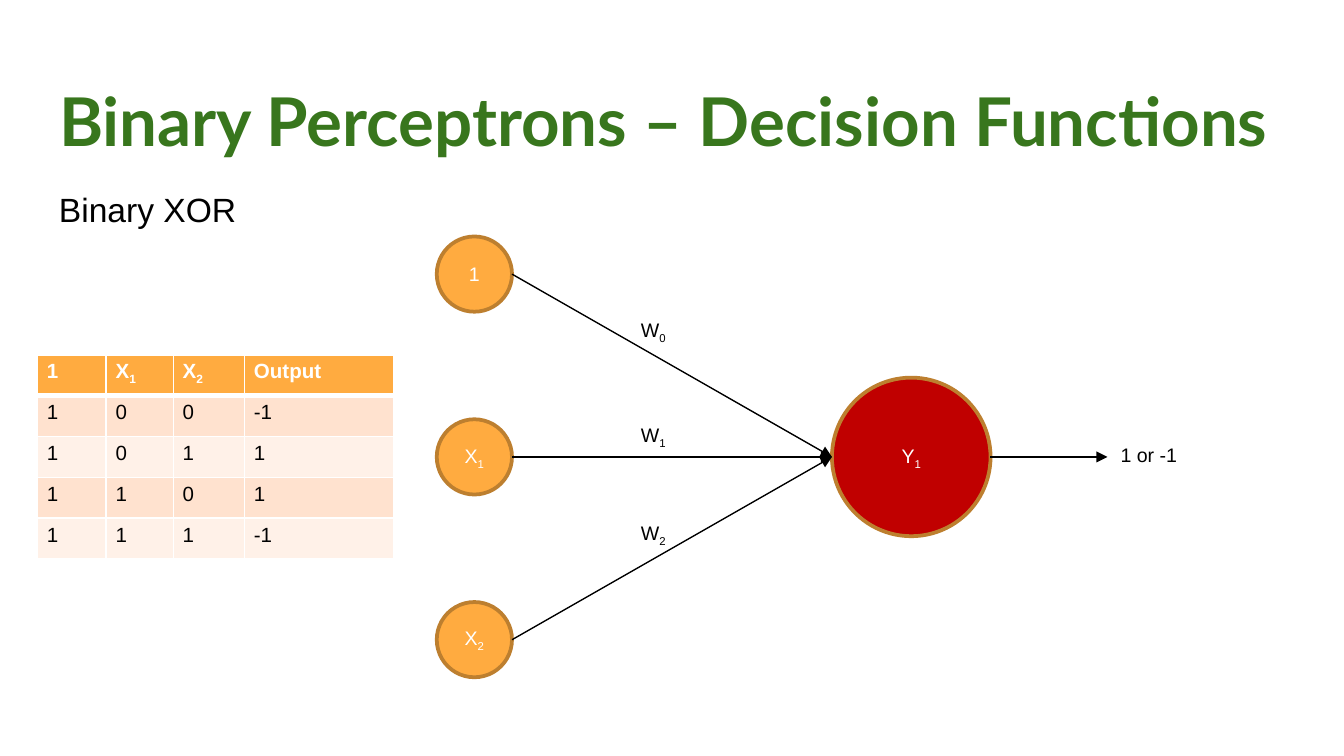
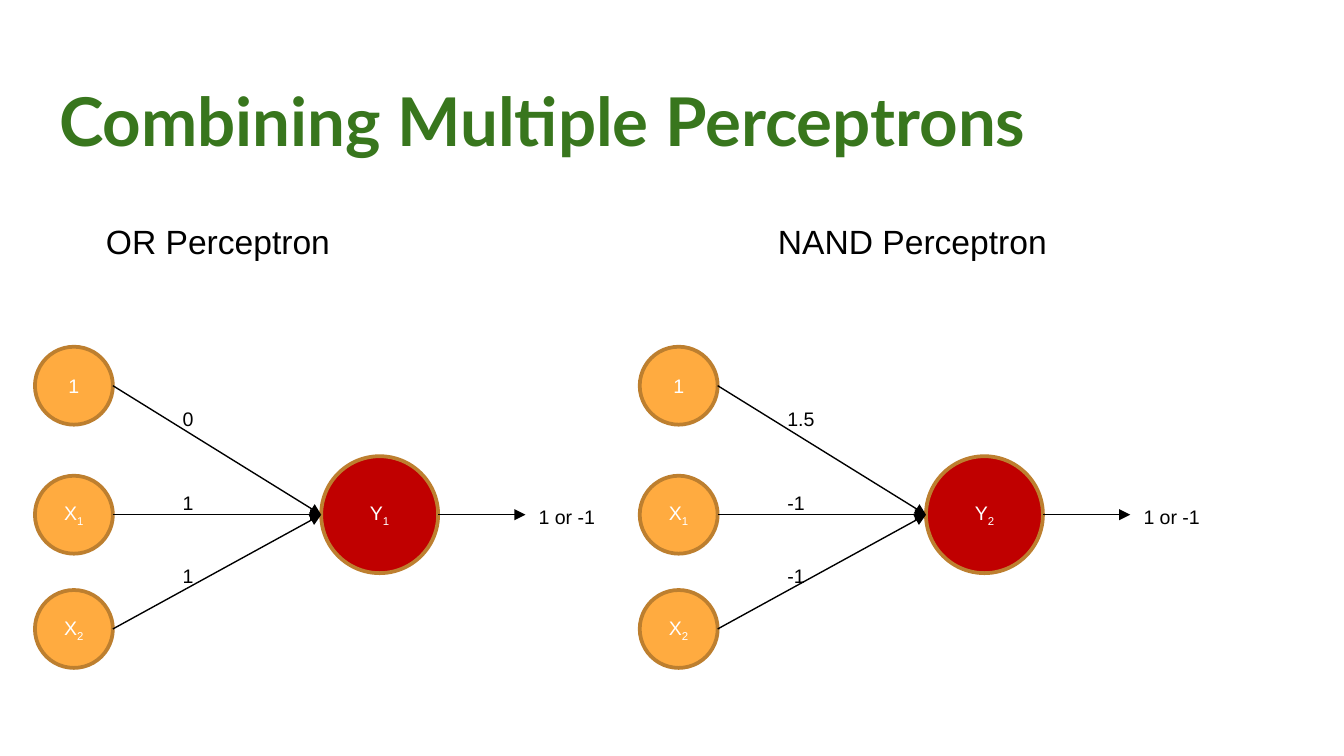
from dataclasses import dataclass, replace

from lxml import etree
from pptx import Presentation
from pptx.dml.color import RGBColor
from pptx.enum.shapes import MSO_CONNECTOR, MSO_SHAPE
from pptx.enum.text import MSO_ANCHOR, MSO_AUTO_SIZE, PP_ALIGN
from pptx.oxml.ns import qn
from pptx.shapes.shapetree import GroupShapes, SlideShapes
from pptx.slide import Slide
from pptx.util import Inches, Pt

STRAIGHT = MSO_CONNECTOR.STRAIGHT
OVAL = MSO_SHAPE.OVAL
TOP, MIDDLE = MSO_ANCHOR.TOP, MSO_ANCHOR.MIDDLE
NO_AUTOFIT, GROW = MSO_AUTO_SIZE.NONE, MSO_AUTO_SIZE.SHAPE_TO_FIT_TEXT
LEFT, CENTER = PP_ALIGN.LEFT, PP_ALIGN.CENTER

GREEN = RGBColor(0x38, 0x76, 0x1D)
ORANGE = RGBColor(0xFF, 0xAB, 0x40)
BROWN = RGBColor(0xBD, 0x7F, 0x2F)
RED = RGBColor(0xC0, 0x00, 0x00)
BLACK = RGBColor(0x00, 0x00, 0x00)
WHITE = RGBColor(0xFF, 0xFF, 0xFF)
BAND_DARK = RGBColor(0xFF, 0xE2, 0xCF)
BAND_LIGHT = RGBColor(0xFF, 0xF1, 0xE8)

SLIDE_WIDTH = Inches(10)
SLIDE_HEIGHT = SLIDE_WIDTH * 9 // 16
TITLE_FONT, BODY_FONT = "Lato", "Arial"
LABEL_SIZE = 10.5
LABEL_HEIGHT = 0.28
TITLE_ONLY = 5
INPUT_NAMES = ("1", "X_1", "X_2")


@dataclass(frozen=True)
class Perceptron:
    """Sizes and places in inches; an underscore in a label starts a subscript."""
    input_left: float
    input_size: float
    input_tops: tuple[float, ...]
    output_name: str
    output_left: float
    output_size: float
    weights: tuple[str, ...]
    weight_left: float
    weight_width: float
    weight_tops: tuple[float, ...]
    result_left: float
    result_top: float
    result_width: float
    wrap_labels: bool

    @property
    def axis(self) -> float:
        """Height of the middle input, shared by the output node."""
        return self.input_tops[1] + self.input_size / 2

    def shifted(self, dx: float, output_name: str,
                weights: tuple[str, ...]) -> "Perceptron":
        return replace(self, input_left=self.input_left + dx,
                       output_left=self.output_left + dx,
                       weight_left=self.weight_left + dx,
                       result_left=self.result_left + dx,
                       output_name=output_name, weights=weights)


XOR_PERCEPTRON = Perceptron(
    input_left=3.25, input_size=0.56, input_tops=(1.76, 3.12, 4.48),
    output_name="Y_1", output_left=6.19, output_size=1.18,
    weights=("W_0", "W_1", "W_2"), weight_left=4.67, weight_width=0.39,
    weight_tops=(2.32, 3.1, 3.83),
    result_left=8.24, result_top=3.25, result_width=0.63, wrap_labels=False)

OR_PERCEPTRON = Perceptron(
    input_left=0.26, input_size=0.58, input_tops=(2.58, 3.54, 4.39),
    output_name="Y_1", output_left=2.39, output_size=0.87,
    weights=("0", "1", "1"), weight_left=1.26, weight_width=0.48,
    weight_tops=(2.98, 3.6, 4.15),
    result_left=3.91, result_top=3.71, result_width=0.65, wrap_labels=True)

NAND_PERCEPTRON = OR_PERCEPTRON.shifted(4.5, "Y_2", ("1.5", "-1", "-1"))

XOR_COLUMNS = (0.51, 0.5, 0.53, 1.11)
XOR_ROWS = (
    ("1", "X_1", "X_2", "Output"),
    ("1", "0", "0", "-1"),
    ("1", "0", "1", "1"),
    ("1", "1", "0", "1"),
    ("1", "1", "1", "-1"),
)


# Text
def write(paragraph, label: str, size: float, color: RGBColor,
          font: str = BODY_FONT, bold: bool = False) -> None:
    base, _, subscript = label.partition("_")
    for text in filter(None, (base, subscript)):
        run = paragraph.add_run()
        run.text = text
        run.font.name = font
        run.font.size = Pt(size)
        run.font.bold = bold
        run.font.color.rgb = color
        if text is subscript:
            run._r.get_or_add_rPr().set("baseline", "-25000")


def set_margins(frame, margin: float) -> None:
    frame.margin_left = frame.margin_right = Inches(margin)
    frame.margin_top = frame.margin_bottom = Inches(margin)


def add_titled_slide(prs, title: str) -> Slide:
    slide = prs.slides.add_slide(prs.slide_layouts[TITLE_ONLY])
    heading = slide.shapes.title
    heading.left, heading.top = Inches(0.34), Inches(0.49)
    heading.width, heading.height = Inches(9.32), Inches(0.63)
    frame = heading.text_frame
    frame.auto_size = NO_AUTOFIT
    frame.vertical_anchor = TOP
    set_margins(frame, 0.1)
    frame.paragraphs[0].alignment = LEFT
    write(frame.paragraphs[0], title, 36, GREEN, TITLE_FONT, bold=True)
    return slide


def add_subtitle(slide: Slide, text: str, left: float, top: float,
                 width: float, height: float, tab: float = 0) -> None:
    box = slide.shapes.add_textbox(Inches(left), Inches(top),
                                   Inches(width), Inches(height))
    frame = box.text_frame
    frame.word_wrap = True
    set_margins(frame, 0.1)
    paragraph = frame.paragraphs[0]
    paragraph.line_spacing = 1.15
    if tab:
        stops = etree.SubElement(paragraph._p.get_or_add_pPr(), qn("a:tabLst"))
        etree.SubElement(stops, qn("a:tab"), pos=str(Inches(tab)), algn="l")
    write(paragraph, text, 18, BLACK)


# Network parts
def add_label(shapes: SlideShapes | GroupShapes, text: str, left: float,
              top: float, width: float, wrap: bool) -> None:
    box = shapes.add_textbox(Inches(left), Inches(top),
                             Inches(width), Inches(LABEL_HEIGHT))
    box.text_frame.word_wrap = wrap
    box.text_frame.auto_size = GROW
    write(box.text_frame.paragraphs[0], text, LABEL_SIZE, BLACK)


def add_node(shapes: SlideShapes | GroupShapes, name: str, left: float,
             top: float, size: float, fill: RGBColor) -> None:
    node = shapes.add_shape(OVAL, Inches(left), Inches(top),
                            Inches(size), Inches(size))
    node.shadow.inherit = False
    node.fill.solid()
    node.fill.fore_color.rgb = fill
    node.line.color.rgb = BROWN
    node.line.width = Pt(2)
    node.text_frame.vertical_anchor = MIDDLE
    paragraph = node.text_frame.paragraphs[0]
    paragraph.alignment = CENTER
    write(paragraph, name, LABEL_SIZE, WHITE)


def add_arrow(shapes: SlideShapes | GroupShapes, x1: float, y1: float,
              x2: float, y2: float) -> None:
    arrow = shapes.add_connector(STRAIGHT, Inches(x1), Inches(y1),
                                 Inches(x2), Inches(y2))
    arrow.line.color.rgb = BLACK
    arrow.line.width = Pt(0.75)
    etree.SubElement(arrow.line._get_or_add_ln(), qn("a:tailEnd"), type="triangle")
    etree.SubElement(arrow._element.spPr, qn("a:effectLst"))


def draw_perceptron(shapes: SlideShapes | GroupShapes, net: Perceptron) -> None:
    # Output node and result
    add_node(shapes, net.output_name, net.output_left,
             net.axis - net.output_size / 2, net.output_size, RED)
    add_label(shapes, "1 or -1", net.result_left, net.result_top,
              net.result_width, net.wrap_labels)
    add_arrow(shapes, net.output_left + net.output_size, net.axis,
              net.result_left, net.axis)
    # Weighted inputs
    for name, top in zip(INPUT_NAMES, net.input_tops):
        add_node(shapes, name, net.input_left, top, net.input_size, ORANGE)
        add_arrow(shapes, net.input_left + net.input_size,
                  top + net.input_size / 2, net.output_left, net.axis)
    for weight, top in zip(net.weights, net.weight_tops):
        add_label(shapes, weight, net.weight_left, top,
                  net.weight_width, net.wrap_labels)


# Truth table
def set_borders(cell, top: float, bottom: float) -> None:
    properties = cell._tc.get_or_add_tcPr()
    sides = (("L", 1), ("R", 1), ("T", top), ("B", bottom))
    for position, (side, width) in enumerate(sides):
        border = etree.Element(qn(f"a:ln{side}"), w=str(Pt(width)))
        fill = etree.SubElement(border, qn("a:solidFill"))
        etree.SubElement(fill, qn("a:srgbClr"), val=str(WHITE))
        properties.insert(position, border)


def add_truth_table(slide: Slide) -> None:
    height = Inches(1.52)
    table = slide.shapes.add_table(
        len(XOR_ROWS), len(XOR_COLUMNS), Inches(0.28), Inches(2.64),
        Inches(sum(XOR_COLUMNS)), height).table
    for column, width in zip(table.columns, XOR_COLUMNS):
        column.width = Inches(width)
    for r, values in enumerate(XOR_ROWS):
        header = r == 0
        table.rows[r].height = height // len(XOR_ROWS)
        band = ORANGE if header else BAND_DARK if r % 2 else BAND_LIGHT
        for c, value in enumerate(values):
            cell = table.cell(r, c)
            cell.margin_left = cell.margin_right = Inches(0.07)
            cell.margin_top = cell.margin_bottom = Inches(0.04)
            cell.fill.solid()
            cell.fill.fore_color.rgb = band
            set_borders(cell, top=3 if r == 1 else 1, bottom=3 if header else 1)
            write(cell.text_frame.paragraphs[0], value, 11,
                  WHITE if header else BLACK, bold=header)


# Slides
def build_xor_slide(prs) -> None:
    slide = add_titled_slide(prs, "Binary Perceptrons – Decision Functions")
    add_subtitle(slide, "Binary XOR", 0.34, 1.26, 9.32, 3.74)
    draw_perceptron(slide.shapes, XOR_PERCEPTRON)
    add_truth_table(slide)


def build_combining_slide(prs) -> None:
    slide = add_titled_slide(prs, "Combining Multiple Perceptrons")
    add_subtitle(slide, "OR Perceptron\tNAND Perceptron",
                 0.69, 1.5, 8.62, 3.57, tab=5)
    for net in (NAND_PERCEPTRON, OR_PERCEPTRON):
        draw_perceptron(slide.shapes.add_group_shape().shapes, net)


def main() -> None:
    prs = Presentation()
    prs.slide_width, prs.slide_height = SLIDE_WIDTH, SLIDE_HEIGHT
    build_xor_slide(prs)
    build_combining_slide(prs)
    prs.save("out.pptx")


if __name__ == "__main__":
    main()
